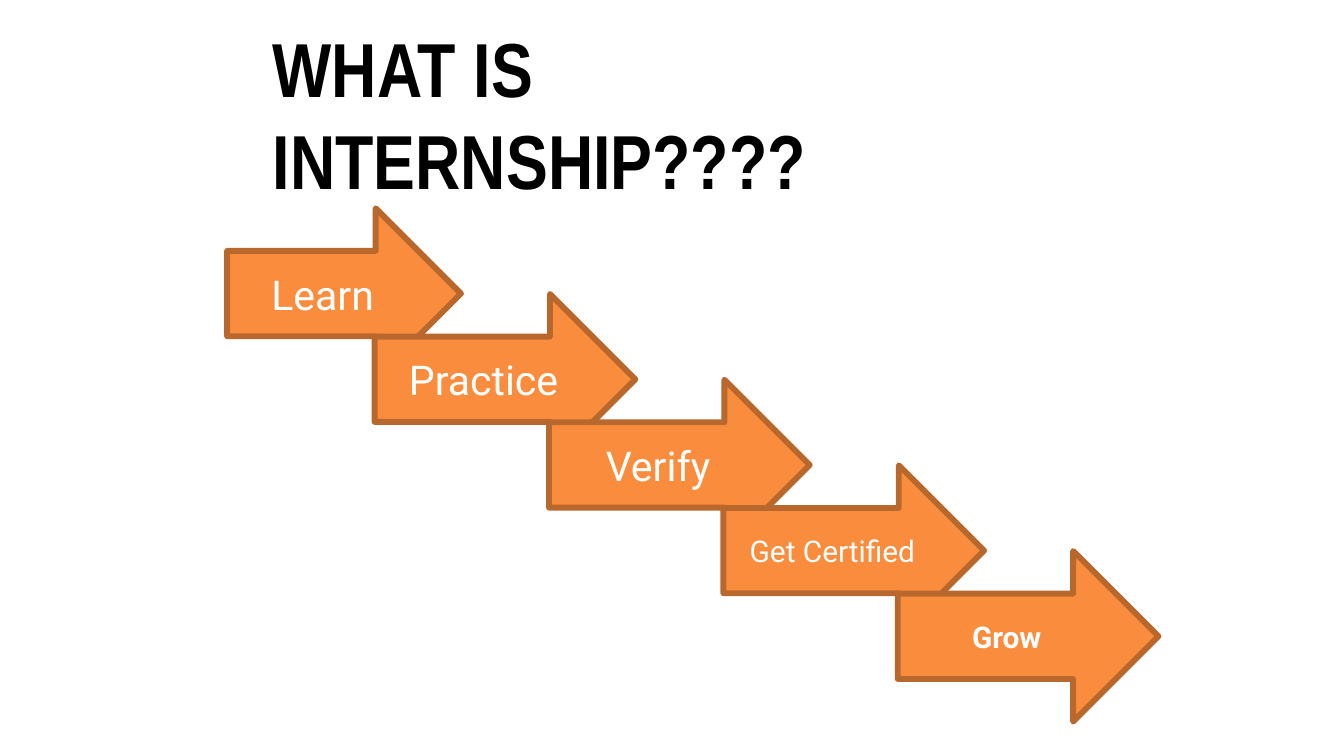
from pptx import Presentation
from pptx.dml.color import RGBColor
from pptx.enum.shapes import MSO_SHAPE
from pptx.enum.text import MSO_ANCHOR, PP_ALIGN
from pptx.util import Inches, Pt

RIGHT_ARROW = MSO_SHAPE.RIGHT_ARROW
MIDDLE = MSO_ANCHOR.MIDDLE
CENTER = PP_ALIGN.CENTER

SLIDE_WIDTH = 10
SLIDE_HEIGHT = SLIDE_WIDTH * 9 / 16
STEPS = [
    ("Learn", 1.74, 22, False),
    ("Practice", 1.94, 22, False),
    ("Verify", 1.94, 22, False),
    ("Get Certified", 1.94, 16, False),
    ("Grow", 1.94, 16, True),
]
ARROW_HEIGHT = 1.27


def color(hex_value):
    return RGBColor.from_string(hex_value)


def format_text(paragraph, font_name, size, hex_value, bold):
    for run in paragraph.runs:
        run.font.name = font_name
        run.font.size = Pt(size)
        run.font.bold = bold
        run.font.color.rgb = color(hex_value)


def add_heading(slide, left, top, width, height):
    heading = slide.shapes.add_textbox(
        Inches(left), Inches(top), Inches(width), Inches(height))
    frame = heading.text_frame
    frame.word_wrap = True
    frame.vertical_anchor = MIDDLE
    frame.margin_left = frame.margin_right = 0
    frame.margin_top = frame.margin_bottom = 0
    frame.text = "WHAT IS INTERNSHIP????"
    format_text(frame.paragraphs[0], "Arial Narrow", 41, "000000", True)


def add_step(slide, left, top, width, height, label, size, bold):
    arrow = slide.shapes.add_shape(
        RIGHT_ARROW, Inches(left), Inches(top), Inches(width), Inches(height))
    arrow.shadow.inherit = False
    arrow.fill.solid()
    arrow.fill.fore_color.rgb = color("FA8D3D")
    arrow.line.color.rgb = color("B9682D")
    arrow.line.width = Pt(3.15)
    frame = arrow.text_frame
    frame.vertical_anchor = MIDDLE
    frame.text = label
    frame.paragraphs[0].alignment = CENTER
    format_text(frame.paragraphs[0], "Roboto", size, "FFFFFF", bold)


def add_staircase(slide, left, top, width, height):
    gaps = len(STEPS) - 1
    first_tip = left + STEPS[0][1]
    step_across = (left + width - first_tip) / gaps
    step_down = (height - ARROW_HEIGHT) / gaps
    for index, (label, arrow_width, size, bold) in enumerate(STEPS):
        tip = first_tip + index * step_across
        add_step(slide, tip - arrow_width, top + index * step_down,
                 arrow_width, ARROW_HEIGHT, label, size, bold)


def main():
    presentation = Presentation()
    presentation.slide_width = Inches(SLIDE_WIDTH)
    presentation.slide_height = Inches(SLIDE_HEIGHT)
    slide = presentation.slides.add_slide(presentation.slide_layouts[6])
    add_heading(slide, 2.03, 0.29, 4.62, 1.1)
    add_staircase(slide, 1.69, 1.55, 6.93, 3.82)
    presentation.save("out.pptx")


if __name__ == "__main__":
    main()
